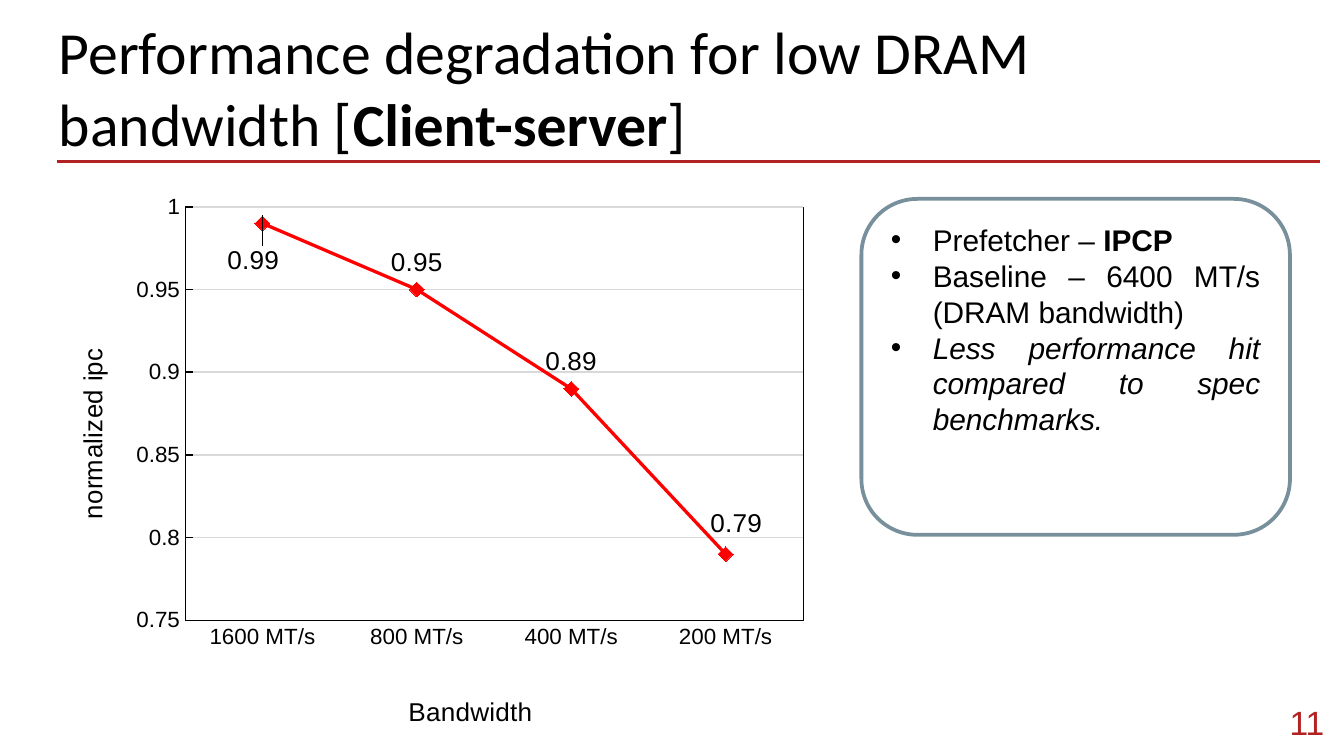
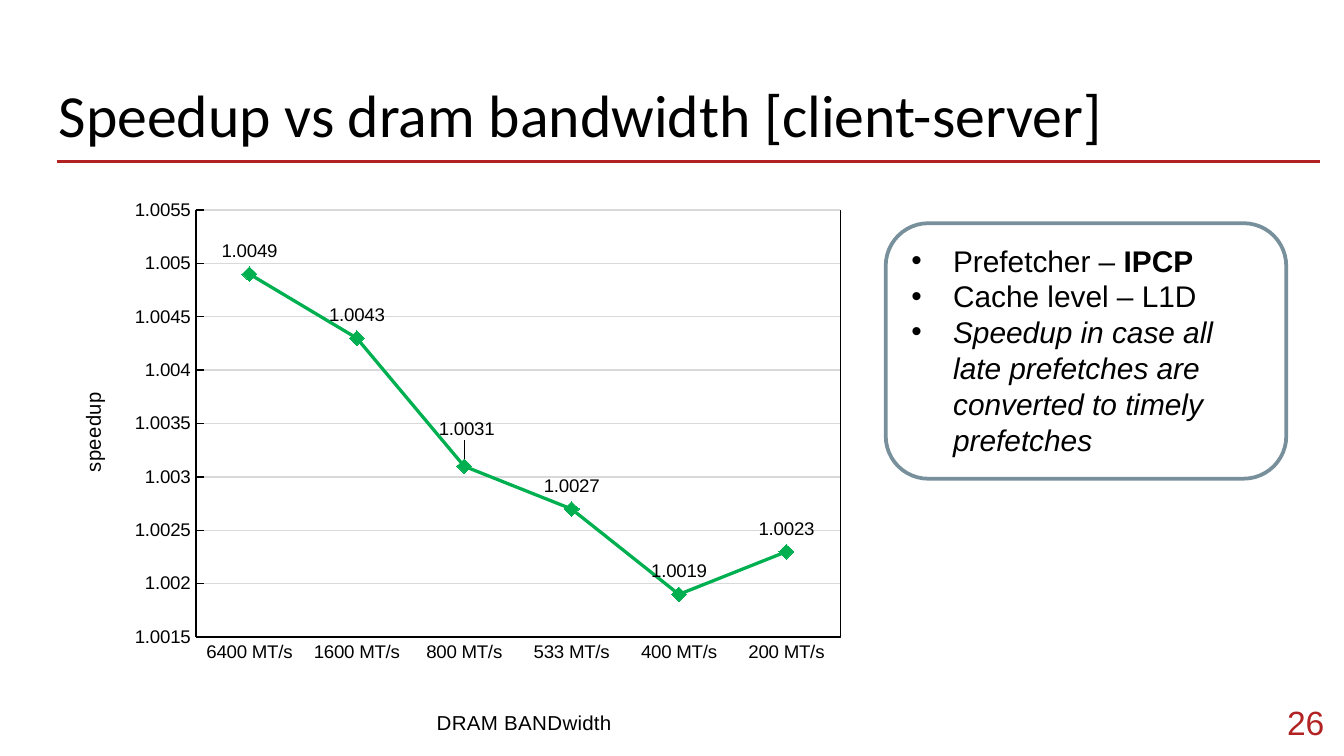
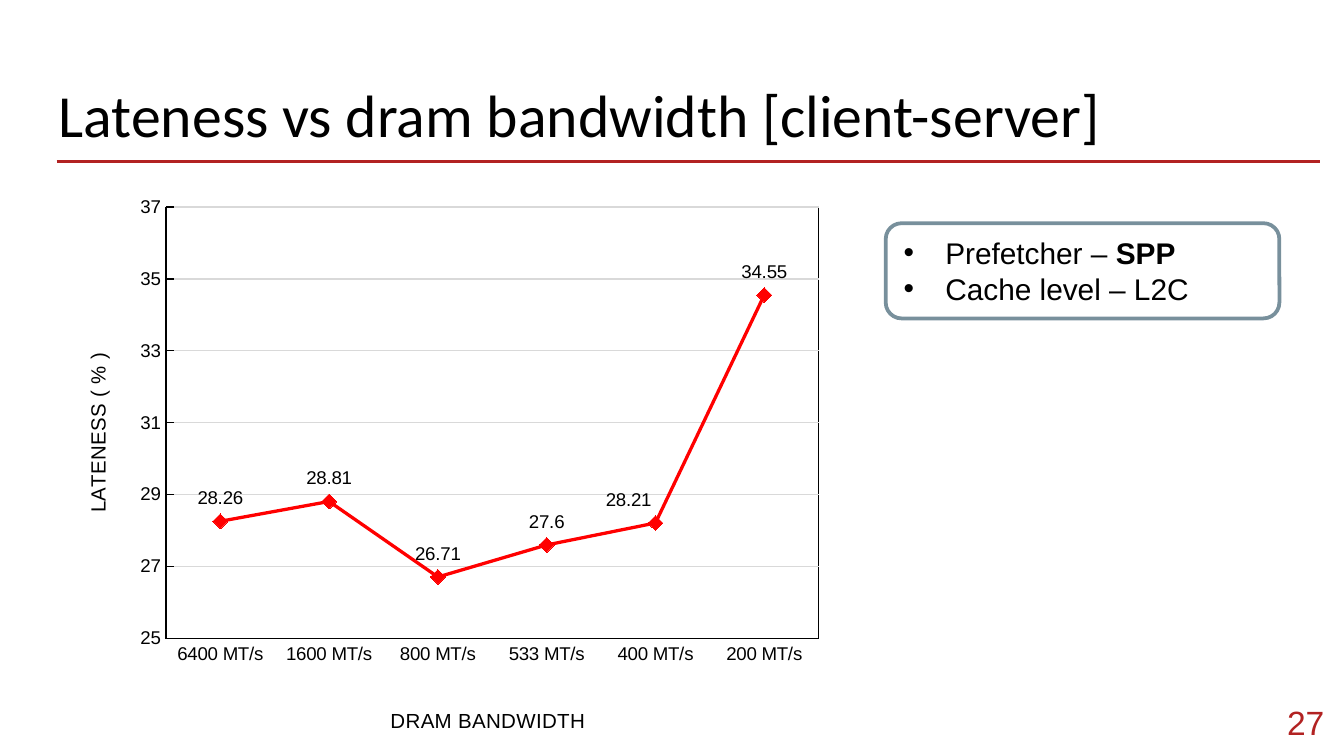
"""Build three slides that plot prefetching results against DRAM bandwidth."""
from dataclasses import dataclass
from lxml.etree import SubElement as Sub, Element
from pptx import Presentation
from pptx.chart.data import CategoryChartData as Data
from pptx.dml.color import RGBColor as RGB
from pptx.enum.chart import XL_CHART_TYPE as Kind, XL_LABEL_POSITION as Pos
from pptx.enum.chart import XL_MARKER_STYLE as Mark, XL_TICK_MARK as Tick
from pptx.enum.shapes import MSO_CONNECTOR as Link, MSO_SHAPE as Form
from pptx.enum.text import MSO_ANCHOR as Anchor, PP_ALIGN as Align
from pptx.oxml import parse_xml
from pptx.oxml.ns import nsdecls, qn
from pptx.util import Cm, Pt


@dataclass(frozen=True)
class Theme:
    ink: RGB = RGB(0, 0, 0)
    paper: RGB = RGB(255, 255, 255)
    brick: RGB = RGB(0xB2, 0x22, 0x22)
    slate: RGB = RGB(0x78, 0x90, 0x9C)
    grid: RGB = RGB(0xD9, 0xD9, 0xD9)
    red: RGB = RGB(255, 0, 0)
    green: RGB = RGB(0, 0xB0, 0x50)
    head: str = "Calibri"
    body: str = "Arial"
    big: Pt = Pt(32)
    page: Pt = Pt(18)
    note: Pt = Pt(16)


def style(item, color=None, **vals):
    for key, val in vals.items():
        setattr(item, key, val)
    if color is not None:
        item.color.rgb = color


def lay(node, spot, edge=True, inner=False):
    for old in node.findall(qn("c:layout")):
        node.remove(old)
    box = Element(qn("c:layout"))
    node.insert(0 if inner else 1, box)
    form = Sub(box, qn("c:manualLayout"))
    marks = [("layoutTarget", "inner")] if inner else []
    marks += [("xMode", "edge"), ("yMode", "edge")] if edge else []
    for tag, val in marks + list(zip("xywh", spot)):
        Sub(form, qn(f"c:{tag}")).set("val", str(val))


T = Theme()
RATES = ["6400 MT/s", "1600 MT/s", "800 MT/s", "533 MT/s", "400 MT/s", "200 MT/s"]
INSETS = {f"margin_{side}": Cm(0.25) for side in ("left", "top", "right", "bottom")}

PAGES = [
    dict(
        num="11", top=0.03,
        title=[("Performance degradation for low DRAM bandwidth [", ""),
               ("Client-server", "b"), ("]", "")],
        box=(16.28, 3.76, 8.1, 6.35), align=Align.JUSTIFY,
        notes=[[("Prefetcher – ", ""), ("IPCP", "b")],
               [("Baseline – 6400 MT/s (DRAM bandwidth)", "")],
               [("Less performance hit compared to spec benchmarks.", "i")]],
        chart=(0.99, 3.48, 14.43, 10.41), plot=(0.174, 0.042, 0.809, 0.762),
        cats=["1600 MT/s", "800 MT/s", "400 MT/s", "200 MT/s"],
        vals=[0.99, 0.95, 0.89, 0.79], color=T.red, scale=(0.75, 1, 0.05),
        sizes=(12, 14, 14), names=("Bandwidth", "normalized ipc"),
        spots=((0.46, 0.933), (0.024, 0.298)),
        moved={0: (-0.012, 0.118), 3: (0.014, -0.007)},
    ),
    dict(
        num="26", top=1.22,
        title=[("Speedup vs dram bandwidth [client-server]", "")],
        box=(16.74, 4.22, 7.57, 4.83), align=Align.LEFT,
        notes=[[("Prefetcher – ", ""), ("IPCP", "b")],
               [("Cache level – L1D", "")],
               [("Speedup in case all late prefetches are converted to timely prefetches", "i")]],
        chart=(1.09, 3.56, 15.09, 10.44), plot=(0.173, 0.04, 0.807, 0.786),
        cats=RATES, vals=[1.0049, 1.0043, 1.0031, 1.0027, 1.0019, 1.0023],
        color=T.green, scale=(1.0015, 1.0055, 0.0005),
        sizes=(10, 11, 10), names=("DRAM BANDwidth", "speedup"),
        spots=((0.47, 0.951), (0.022, 0.37)),
        moved={2: (0.003, -0.025)},
    ),
    dict(
        num="27", top=1.22,
        title=[("Lateness vs dram bandwidth [client-server]", "")],
        box=(16.74, 4.22, 7.44, 1.8), align=Align.LEFT,
        notes=[[("Prefetcher – ", ""), ("SPP", "b")],
               [("Cache level – L2C", "")]],
        chart=(1.22, 3.53, 14.53, 10.44), plot=(0.132, 0.037, 0.849, 0.788),
        cats=RATES, vals=[28.26, 28.81, 26.71, 27.6, 28.21, 34.55],
        color=T.red, scale=(25, 37, 2),
        sizes=(10, 11, 10), names=("DRAM BANDWIDTH", "LATENESS ( % )"),
        spots=((0.419, 0.943), (0.02, 0.299)),
        moved={4: (-0.035, 0)},
    ),
]

deck = Presentation()
style(deck, slide_width=Cm(25.4), slide_height=Cm(14.29))

for page in PAGES:
    slide = deck.slides.add_slide(deck.slide_layouts[6])
    shapes = slide.shapes

    rule = shapes.add_connector(Link.STRAIGHT, Cm(1.07), Cm(3.05), Cm(24.94), Cm(3.05))
    style(rule.line, T.brick, width=Pt(1.5))
    Sub(rule._element.spPr, qn("a:effectLst"))

    head = shapes.add_textbox(Cm(0.86), Cm(page["top"]), Cm(23.67), Cm(1.6)).text_frame
    style(head, word_wrap=True, **INSETS)
    foot = shapes.add_textbox(Cm(23.5), Cm(13.11), Cm(1.78), Cm(1.09)).text_frame
    style(foot, word_wrap=True, vertical_anchor=Anchor.MIDDLE, **INSETS)
    card = shapes.add_shape(Form.ROUNDED_RECTANGLE, *map(Cm, page["box"]))
    card.shadow.inherit = False
    card.fill.solid()
    card.fill.fore_color.rgb = T.paper
    style(card.line, T.slate, width=Pt(2))
    style(card.text_frame, word_wrap=True, vertical_anchor=Anchor.TOP)

    texts = [
        (head, [page["title"]], Align.LEFT, T.head, T.big, T.ink),
        (foot, [[(page["num"], "")]], Align.RIGHT, T.body, T.page, T.brick),
        (card.text_frame, page["notes"], page["align"], T.body, T.note, T.ink),
    ]
    for frame, lines, align, face, size, color in texts:
        for i, line in enumerate(lines):
            para = frame.add_paragraph() if i else frame.paragraphs[0]
            para.alignment = align
            if lines is page["notes"]:
                props = para._p.get_or_add_pPr()
                props.set("marL", str(Cm(0.79)))
                props.set("indent", str(-Cm(0.79)))
                tint = Sub(Sub(props, qn("a:buClr")), qn("a:srgbClr"))
                tint.set("val", str(T.ink))
                Sub(props, qn("a:buFont")).set("typeface", T.body)
                Sub(props, qn("a:buChar")).set("char", "•")
            for words, look in line:
                run = para.add_run()
                run.text = words
                style(run.font, color, name=face, size=size,
                      bold="b" in look, italic="i" in look)

    data = Data()
    data.categories = page["cats"]
    data.add_series("Series 1", page["vals"])
    chart = shapes.add_chart(Kind.LINE_MARKERS, *map(Cm, page["chart"]), data).chart
    style(chart, has_legend=False, has_title=False)
    style(chart.font, T.ink, name=T.body, size=Pt(10))
    ticks, titles, labels = map(Pt, page["sizes"])

    axes = (chart.category_axis, chart.value_axis)
    for axis, name, spot, tick in zip(axes, page["names"], page["spots"],
                                      (Tick.NONE, Tick.INSIDE)):
        style(axis, major_tick_mark=tick, minor_tick_mark=Tick.NONE)
        style(axis.format.line, T.ink, width=Pt(0.75))
        style(axis.tick_labels.font, T.ink, name=T.body, size=ticks)
        title = axis.axis_title
        title.text_frame.text = name
        style(title.text_frame.paragraphs[0].runs[0].font, T.ink,
              name=T.body, size=titles, bold=False)
        if axis is chart.value_axis:
            title._element.find(".//" + qn("a:bodyPr")).set("rot", "-5400000")
        lay(title._element, spot)

    low, high, step = page["scale"]
    style(chart.value_axis, minimum_scale=low, maximum_scale=high,
          major_unit=step, has_major_gridlines=True)
    style(chart.value_axis.major_gridlines.format.line, T.grid, width=Pt(0.75))

    plot = chart.plots[0]
    plot.vary_by_categories = False
    curve = plot.series[0]
    curve.smooth = False
    style(curve.format.line, page["color"], width=Pt(1.75))
    style(curve.marker, style=Mark.DIAMOND, size=8)
    curve.marker.format.fill.solid()
    curve.marker.format.fill.fore_color.rgb = page["color"]
    curve.marker.format.line.fill.background()
    style(curve.data_labels, show_value=True, position=Pos.ABOVE)
    style(curve.data_labels.font, T.ink, name=T.body, size=labels)
    for at, shift in page["moved"].items():
        label = curve.points[at].data_label
        style(label.font, T.ink, name=T.body, size=labels)
        label.position = Pos.ABOVE
        spot = curve._element.xpath(f"c:dLbls/c:dLbl[c:idx/@val='{at}']")[0]
        lay(spot, shift, edge=False)

    root = chart._chartSpace
    area = root.find(".//" + qn("c:plotArea"))
    lay(area, page["plot"], inner=True)
    names = nsdecls("c", "a")
    area.append(parse_xml(
        f'<c:spPr {names}><a:noFill/><a:ln w="3175"><a:solidFill>'
        f'<a:srgbClr val="{T.ink}"/></a:solidFill></a:ln></c:spPr>'))
    root.find(qn("c:txPr")).addprevious(parse_xml(
        f'<c:spPr {names}><a:solidFill><a:srgbClr val="{T.paper}"/></a:solidFill>'
        f'<a:ln><a:noFill/></a:ln></c:spPr>'))

deck.save("out.pptx")
